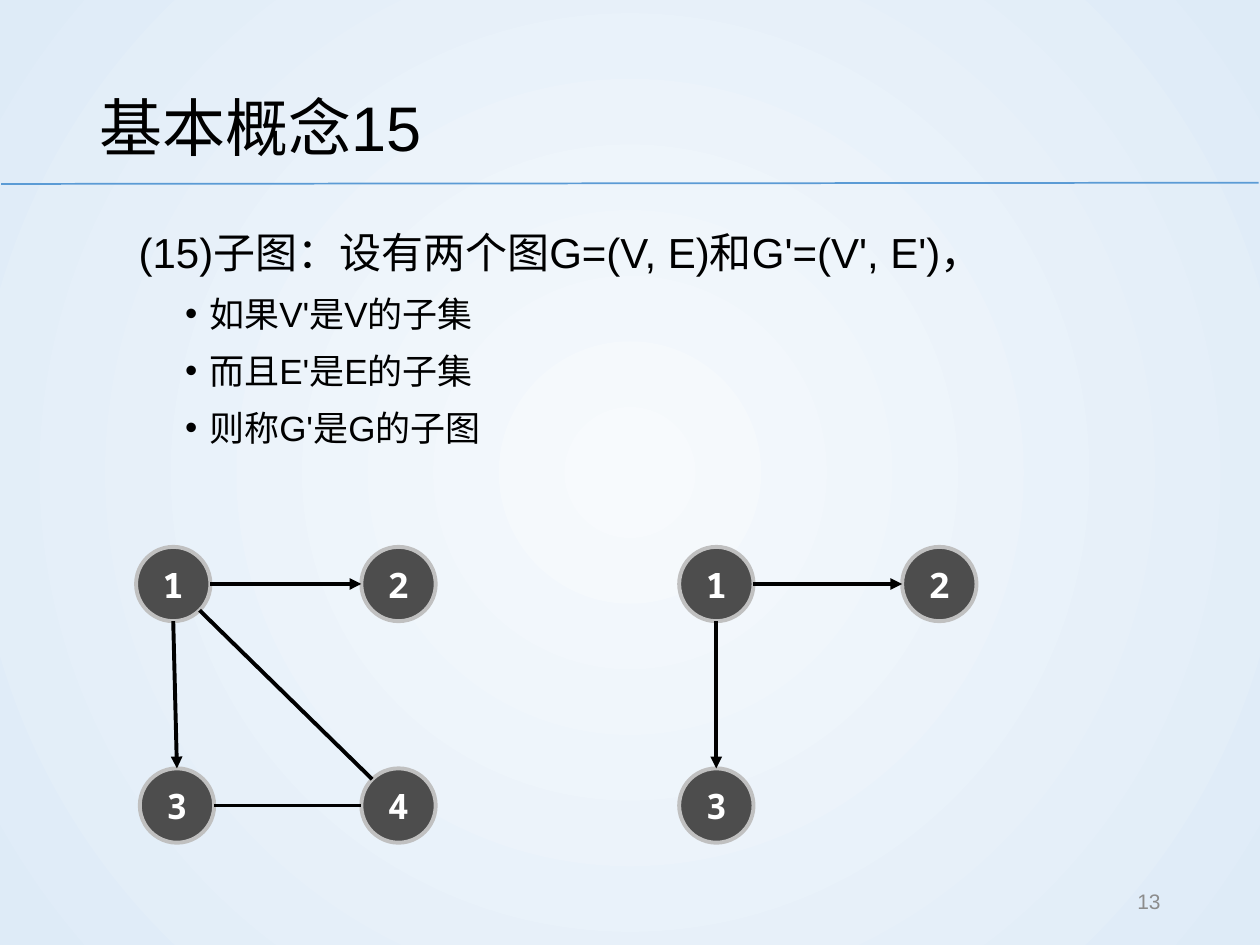
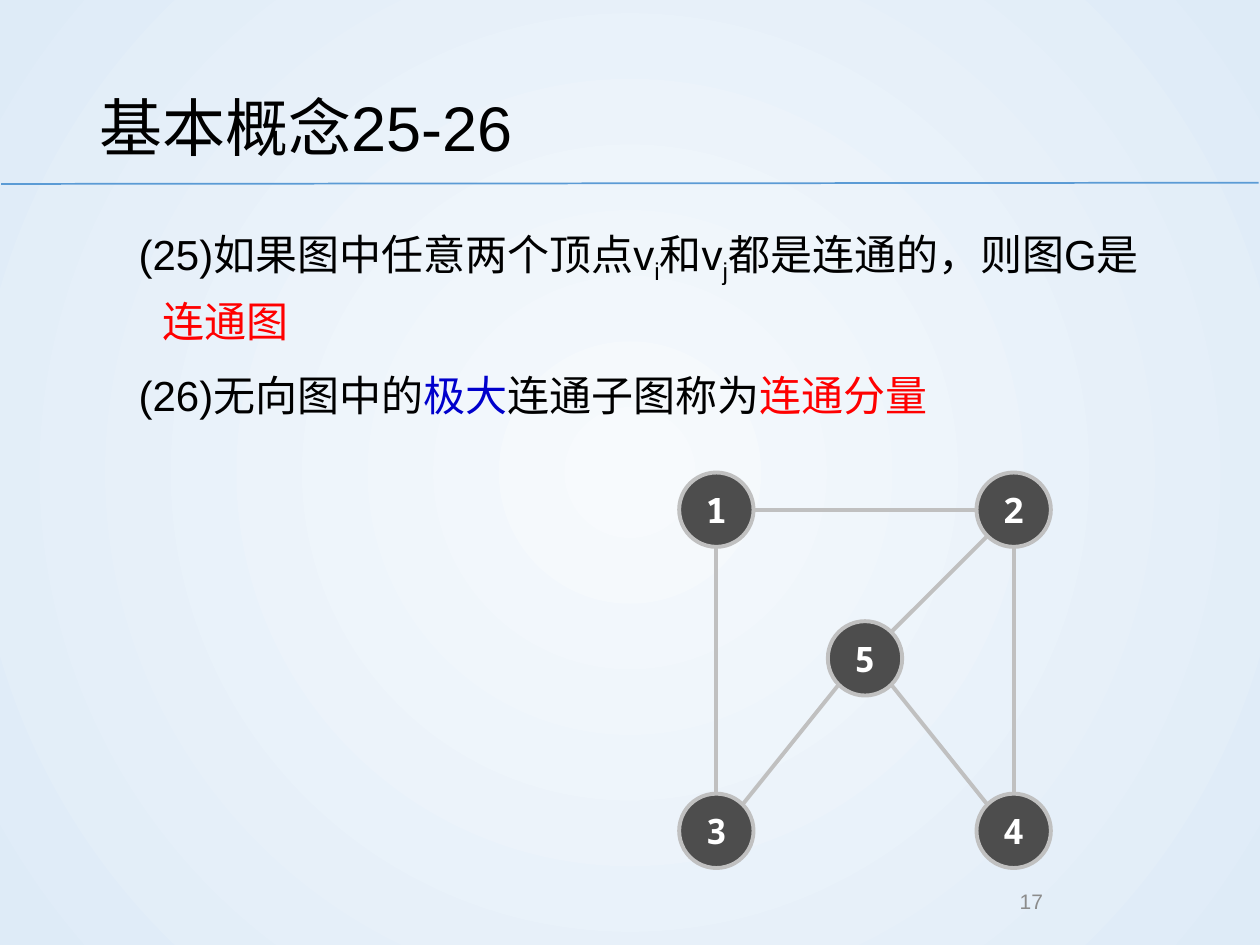
"""Build two graph-theory slides: subgraphs, and connected graphs with their components."""
import dataclasses
import math

import lxml.etree
import pptx
import pptx.dml.color
import pptx.enum.shapes
import pptx.enum.text
import pptx.oxml.ns
import pptx.util

qn = pptx.oxml.ns.qn
ALIGN = pptx.enum.text.PP_ALIGN
MIDDLE = pptx.enum.text.MSO_ANCHOR.MIDDLE
STRAIGHT = pptx.enum.shapes.MSO_CONNECTOR.STRAIGHT
OVAL = pptx.enum.shapes.MSO_SHAPE.OVAL


@dataclasses.dataclass(frozen=True)
class Theme:
    black: str = "000000"
    white: str = "FFFFFF"
    red: str = "FF0000"
    blue: str = "0000CC"
    rule: str = "5B9BD5"
    node: str = "4D4D4D"
    ring: str = "C0C0C0"
    number: str = "8C8C8C"
    glow: tuple = ("F7FAFD", "DEEBF7")
    font: str = "Arial"
    mono: str = "Noto Sans Mono"
    title: int = 36
    body: int = 24
    item: int = 20
    small: int = 12


T = Theme()

prs = pptx.Presentation()
prs.slide_width, prs.slide_height = pptx.util.Inches(10), pptx.util.Inches(7.5)
COL = prs.slide_width / 10
NODE = 0.59


def grid(*cells):
    """Turn grid columns and rows into lengths."""
    return [pptx.util.Emu(round(c * COL)) for c in cells]


def write(p, text, size=T.body, color=T.black, font=T.font, bold=False, base=0):
    """Add one formatted run to a paragraph."""
    r = p.add_run()
    r.text = text
    r.font.size, r.font.name, r.font.bold = pptx.util.Pt(size), font, bold
    r.font.color.rgb = pptx.dml.color.RGBColor.from_string(color)
    if base:
        r.font._element.set("baseline", str(base * 1000))


master = prs.slide_master
fill = master.background.fill
fill.gradient()
for stop, color in zip(fill.gradient_stops, T.glow):
    stop.color.rgb = pptx.dml.color.RGBColor.from_string(color)
grad = next(master._element.iter(qn("a:gradFill")))
grad.remove(grad.find(qn("a:lin")))
path = lxml.etree.SubElement(grad, qn("a:path"), path="circle")
lxml.etree.SubElement(path, qn("a:fillToRect"), l="50000", t="50000", r="50000", b="50000")

SUB = dict(base=-25)
RED = dict(color=T.red)
SLIDES = [
    dict(
        title="基本概念15", number="13", align=ALIGN.RIGHT, inset=0.1, width=8.7, edge=T.black,
        body=[
            (0, [("(15)子图：设有两个图G=(V, E)和G'=(V', E')，", {})]),
            (1, [("如果V'是V的子集", {})]),
            (1, [("而且E'是E的子集", {})]),
            (1, [("则称G'是G的子图", {})]),
        ],
        graphs=[
            ((1.08, 4.34), {1: (0, 0), 2: (3.03, 0), 3: (0.05, 2.98), 4: (3.03, 2.98)},
             [(1, 2, True), (1, 3, True), (3, 4, False), (4, 1, False)]),
            ((5.39, 4.34), {1: (0, 0), 2: (3, 0), 3: (0, 2.98)}, [(1, 2, True), (1, 3, True)]),
        ],
    ),
    dict(
        title="基本概念25-26", number="17", align=ALIGN.CENTER, inset=0, width=8.31, edge=T.ring,
        body=[
            (0, [("(25)如果图中任意两个顶点v", {}), ("i", SUB), ("和v", {}), ("j", SUB),
                 ("都是连通的，则图G是", {}), ("连通图", RED)]),
            (0, [("(26)无向图中的", {}), ("极大", dict(color=T.blue)),
                 ("连通子图称为", {}), ("连通分量", RED)]),
        ],
        graphs=[
            ((5.39, 3.75), {1: (0, 0), 2: (4, 0), 3: (0, 4.32), 4: (4, 4.32), 5: (2, 2)},
             [(1, 2, False), (1, 3, False), (4, 2, False),
              (5, 3, False), (5, 2, False), (5, 4, False)]),
        ],
    ),
]

for page in SLIDES:
    s = prs.slides.add_slide(prs.slide_layouts[1])
    title, body = s.placeholders
    title.left, title.top, title.width, title.height = grid(0.69, 0.4, 8.62, 1.08)
    body.left, body.top, body.width, body.height = grid(1, 1.67, page["width"], 5)
    for sp in (title, body):
        sp.text_frame.word_wrap = True
        sp.text_frame.auto_size = pptx.enum.text.MSO_AUTO_SIZE.NONE
    title.text_frame.vertical_anchor = MIDDLE
    p = title.text_frame.paragraphs[0]
    p.alignment, p.line_spacing = ALIGN.LEFT, 1.2
    write(p, page["title"], size=T.title)

    tf = body.text_frame
    for i, (level, runs) in enumerate(page["body"]):
        p = tf.add_paragraph() if i else tf.paragraphs[0]
        pPr = p._p.get_or_add_pPr()
        pPr.set("marL", str(grid((0.19, 0.56)[level])[0]))
        pPr.set("indent", str(grid(-0.19)[0]))
        if level:
            lxml.etree.SubElement(pPr, qn("a:buFont"), typeface=T.font)
            lxml.etree.SubElement(pPr, qn("a:buChar"), char="•")
        else:
            lxml.etree.SubElement(pPr, qn("a:buNone"))
        p.level, p.line_spacing = level, 1.2
        p.space_before = pptx.util.Pt((7.5, 3.8)[level] if i else 0)
        for text, fmt in runs:
            write(p, text, size=(T.body, T.item)[level], **fmt)

    for (left, top), nodes, edges in page["graphs"]:
        for name, (x, y) in nodes.items():
            sp = s.shapes.add_shape(OVAL, *grid(left + x * NODE, top + y * NODE, NODE, NODE))
            sp.shadow.inherit = False
            sp.fill.solid()
            sp.fill.fore_color.rgb = pptx.dml.color.RGBColor.from_string(T.node)
            sp.line.color.rgb = pptx.dml.color.RGBColor.from_string(T.ring)
            sp.line.width = pptx.util.Pt(2.25)
            tf = sp.text_frame
            tf.word_wrap, tf.vertical_anchor = False, MIDDLE
            tf.margin_left, tf.margin_top, tf.margin_right, tf.margin_bottom = grid(*[0.04] * 4)
            tf.paragraphs[0].alignment = ALIGN.CENTER
            write(tf.paragraphs[0], str(name), size=T.item, color=T.white, font=T.mono, bold=True)
        for a, b, arrow in edges:
            way = [0 if abs(v - u) < 0.1 else math.copysign(1, v - u)
                   for u, v in zip(nodes[a], nodes[b])]
            rim = 0.5 / math.hypot(*way)
            start, end = ([o + (n + 0.5 + sign * w * rim) * NODE
                           for o, n, w in zip((left, top), nodes[k], way)]
                          for k, sign in ((a, 1), (b, -1)))
            cx = s.shapes.add_connector(STRAIGHT, *grid(*start, *end))
            cx.line.color.rgb = pptx.dml.color.RGBColor.from_string(page["edge"])
            cx.line.width = pptx.util.Pt(2.25)
            if arrow:
                lxml.etree.SubElement(cx.line._get_or_add_ln(), qn("a:tailEnd"), type="triangle")
            lxml.etree.SubElement(cx._element.spPr, qn("a:effectLst"))

    tf = s.shapes.add_textbox(*grid(7.06, 6.95, 2.25, 0.4)).text_frame
    tf.word_wrap, tf.vertical_anchor = True, MIDDLE
    tf.margin_left, tf.margin_right = grid(page["inset"], page["inset"])
    tf.margin_top, tf.margin_bottom = grid(page["inset"] / 2, page["inset"] / 2)
    tf.paragraphs[0].alignment = page["align"]
    write(tf.paragraphs[0], page["number"], size=T.small, color=T.number)

rule = s.shapes.add_connector(STRAIGHT, *grid(0.01, 1.46, 9.99, 1.45))
rule.line.color.rgb = pptx.dml.color.RGBColor.from_string(T.rule)
rule.line.width = pptx.util.Pt(1)
lxml.etree.SubElement(rule._element.spPr, qn("a:effectLst"))
master.shapes._spTree.append(rule._element)

prs.save("out.pptx")
